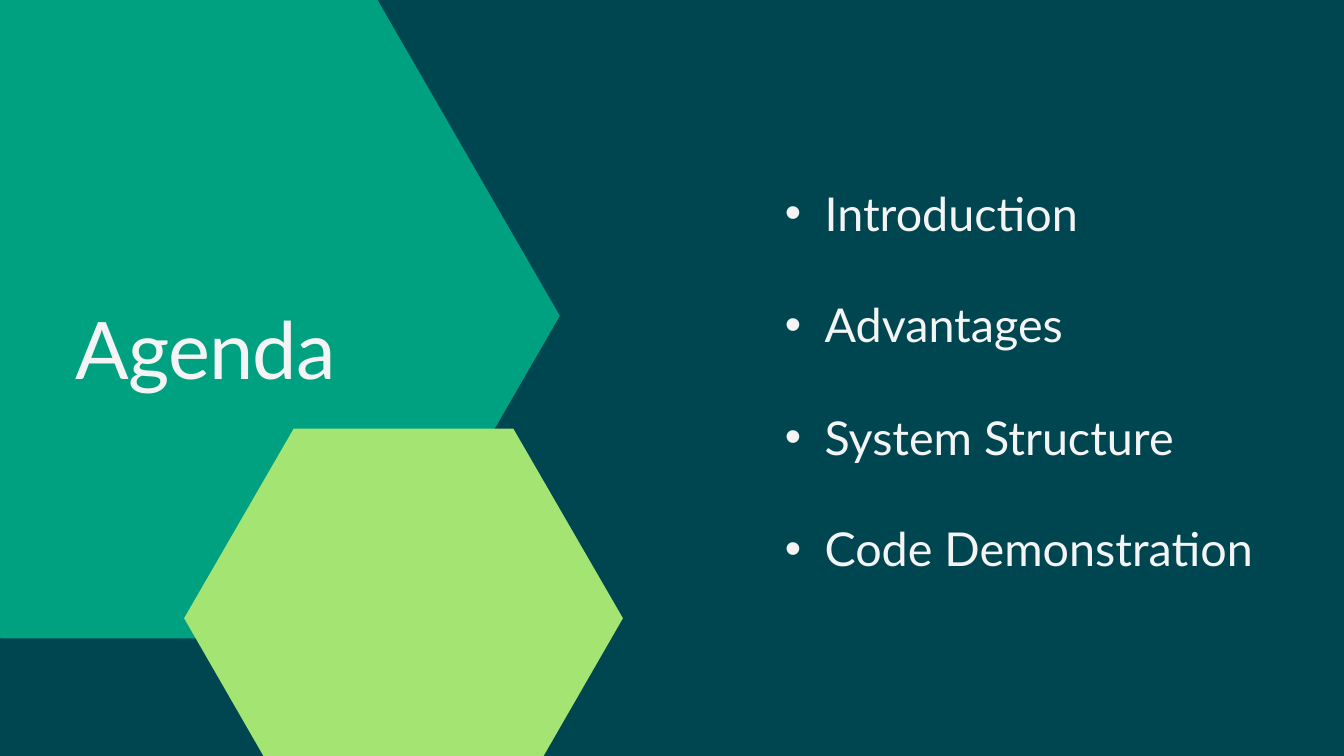
"""Build the agenda slide with two hexagons and a bulleted list of topics."""
from dataclasses import dataclass

from lxml import etree
from pptx import Presentation
from pptx.dml.color import RGBColor
from pptx.enum.text import MSO_ANCHOR, MSO_AUTO_SIZE, PP_ALIGN
from pptx.oxml.ns import qn
from pptx.slide import Slide
from pptx.util import Emu, Pt

TOP = MSO_ANCHOR.TOP
LEFT = PP_ALIGN.LEFT
GROW = MSO_AUTO_SIZE.SHAPE_TO_FIT_TEXT
EMU_PER_PX = 9144
BULLET_INDENT = 59
TOPIC_TOP, TOPIC_PITCH = 261, 166.5


@dataclass(frozen=True)
class Theme:
    background: RGBColor = RGBColor.from_string("004651")
    green: RGBColor = RGBColor.from_string("00A181")
    lime: RGBColor = RGBColor.from_string("A4E473")
    text: RGBColor = RGBColor.from_string("F4F4F4")
    font: str = "Lato"
    title_size: int = 85
    title_leading: int = 102
    topic_size: int = 50
    topic_leading: int = 70


@dataclass(frozen=True)
class Hexagon:
    left: int
    top: int
    width: int
    height: int
    color: RGBColor


@dataclass(frozen=True)
class Label:
    text: str
    left: int
    top: int
    width: int
    height: int
    size: int
    leading: int
    tracking: int = 0
    bulleted: bool = False


THEME = Theme()
HEXAGONS = (
    Hexagon(-276, -10, 1109, 960, THEME.green),
    Hexagon(274, 638, 653, 565, THEME.lime),
)
TITLE = Label("Agenda", 112, 446, 488, 141, THEME.title_size, THEME.title_leading, tracking=-80)
TOPICS = (
    ("Introduction", 668),
    ("Advantages", 668),
    ("System Structure", 754),
    ("Code Demonstration", 858),
)


def px(length: int) -> Emu:
    return Emu(length * EMU_PER_PX)


def draw_hexagon(slide: Slide, hexagon: Hexagon) -> None:
    quarter, half = hexagon.width / 4, hexagon.height / 2
    steps = ((4, 1), (3, 2), (1, 2), (0, 1), (1, 0), (3, 0))
    points = [
        (round(hexagon.left + x * quarter), round(hexagon.top + y * half)) for x, y in steps
    ]
    builder = slide.shapes.build_freeform(*points[0], scale=EMU_PER_PX)
    builder.add_line_segments(points[1:], close=True)
    shape = builder.convert_to_shape()
    shape.shadow.inherit = False
    shape.fill.solid()
    shape.fill.fore_color.rgb = hexagon.color
    shape.line.fill.background()


def draw_label(slide: Slide, label: Label) -> None:
    box = slide.shapes.add_textbox(
        px(label.left), px(label.top), px(label.width), px(label.height)
    )
    frame = box.text_frame
    frame.word_wrap = True
    frame.auto_size = GROW
    frame.vertical_anchor = TOP
    frame.margin_left = frame.margin_top = frame.margin_right = frame.margin_bottom = 0
    paragraph = frame.paragraphs[0]
    paragraph.alignment = LEFT
    paragraph.line_spacing = Pt(label.leading)
    if label.bulleted:
        paragraph.level = 1
        properties = paragraph._p.get_or_add_pPr()
        properties.set("marL", str(px(2 * BULLET_INDENT)))
        properties.set("indent", str(px(-BULLET_INDENT)))
        etree.SubElement(properties, qn("a:buFont"), typeface="Arial")
        etree.SubElement(properties, qn("a:buChar"), char="•")
    run = paragraph.add_run()
    run.text = label.text
    run.font.name = THEME.font
    run.font.size = Pt(label.size)
    run.font.color.rgb = THEME.text
    if label.tracking:
        run.font._element.set("spc", str(label.tracking))


def main() -> None:
    presentation = Presentation()
    presentation.slide_width, presentation.slide_height = px(2000), px(1125)
    slide = presentation.slides.add_slide(presentation.slide_layouts[6])
    slide.background.fill.solid()
    slide.background.fill.fore_color.rgb = THEME.background
    for hexagon in HEXAGONS:
        draw_hexagon(slide, hexagon)
    draw_label(slide, TITLE)
    for index, (text, width) in enumerate(TOPICS):
        top = int(TOPIC_TOP + index * TOPIC_PITCH)
        draw_label(
            slide,
            Label(text, 1109, top, width, 93, THEME.topic_size, THEME.topic_leading, bulleted=True),
        )
    presentation.save("out.pptx")


if __name__ == "__main__":
    main()
